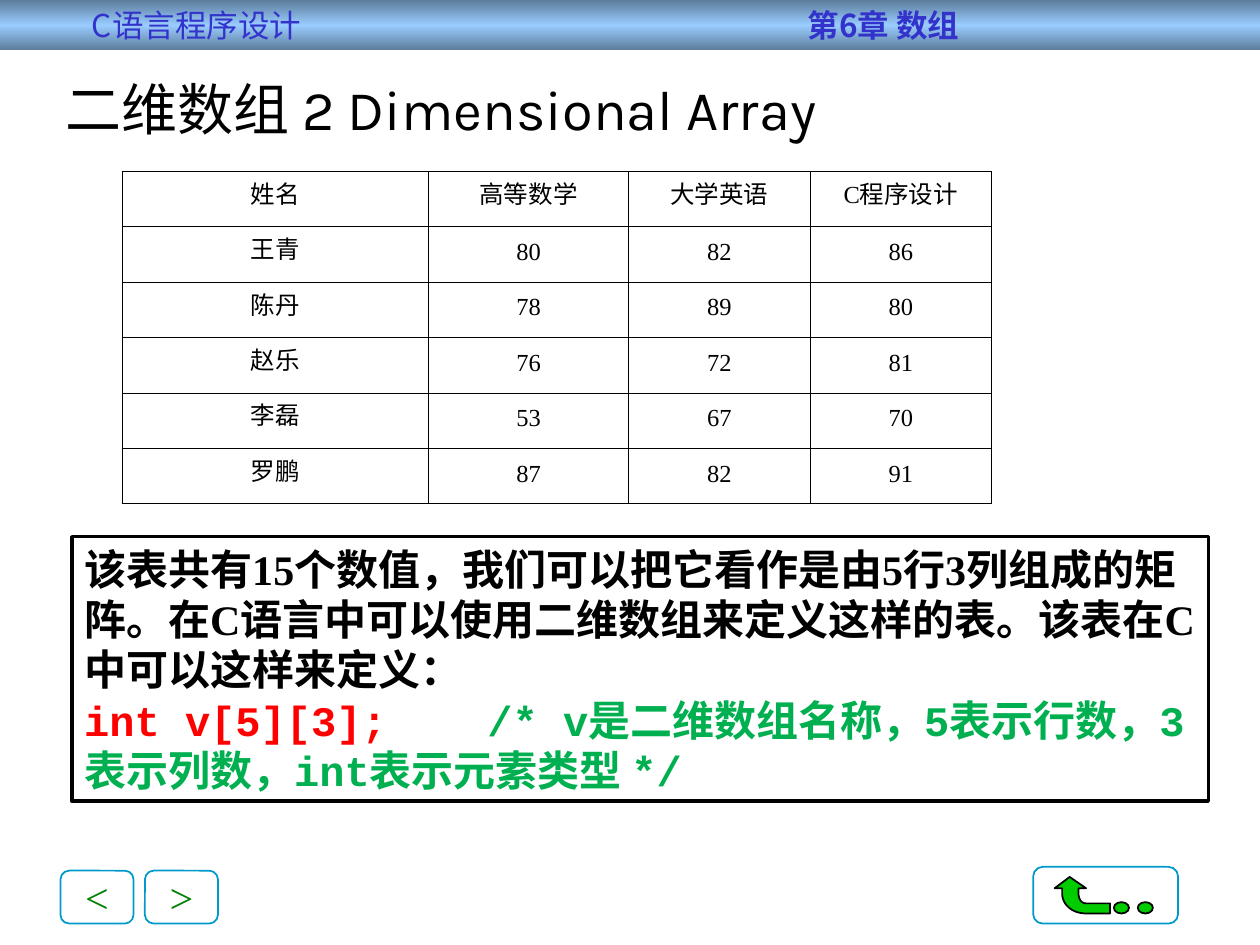
from lxml import etree
from pptx import Presentation
from pptx.dml.color import RGBColor
from pptx.enum.shapes import MSO_SHAPE
from pptx.enum.text import MSO_ANCHOR, PP_ALIGN
from pptx.oxml.ns import qn
from pptx.util import Inches, Pt

RECTANGLE, ROUNDED, OVAL = MSO_SHAPE.RECTANGLE, MSO_SHAPE.ROUNDED_RECTANGLE, MSO_SHAPE.OVAL
MIDDLE, TOP = MSO_ANCHOR.MIDDLE, MSO_ANCHOR.TOP
LEFT, CENTER = PP_ALIGN.LEFT, PP_ALIGN.CENTER

BLACK = RGBColor(0x00, 0x00, 0x00)
WHITE = RGBColor(0xFF, 0xFF, 0xFF)
STEEL = RGBColor(0x5D, 0x7C, 0x9B)
SKY = RGBColor(0x99, 0xCC, 0xFF)
INDIGO = RGBColor(0x33, 0x33, 0xCC)
BUTTON_BLUE = RGBColor(0x00, 0x99, 0xCC)
BUTTON_GREEN = RGBColor(0x00, 0x80, 0x00)
ARROW_GREEN = RGBColor(0x00, 0xCC, 0x00)
CODE_RED = RGBColor(0xFF, 0x00, 0x00)
COMMENT_GREEN = RGBColor(0x00, 0xB0, 0x50)

CJK, SERIF, MONO, TITLE = "Noto Sans CJK SC", "Times New Roman", "Courier New", "Karla"


def write(paragraph, text, font=SERIF, size=14, color=BLACK, bold=False, align=LEFT, tab=None):
    paragraph.alignment = align
    if tab is not None:
        tabs = etree.SubElement(paragraph._p.get_or_add_pPr(), qn("a:tabLst"))
        etree.SubElement(tabs, qn("a:tab"), pos=str(Inches(tab)), algn="l")
    run = paragraph.add_run()
    run.text = text
    run.font.name, run.font.size, run.font.bold = font, Pt(size), bold
    run.font.color.rgb = color
    etree.SubElement(run._r.get_or_add_rPr(), qn("a:ea"), typeface=CJK)


def style(shape, fill=None, line=None, width=1):
    shape.shadow.inherit = False
    if fill is None:
        shape.fill.background()
    else:
        shape.fill.solid()
        shape.fill.fore_color.rgb = fill
    if line is None:
        shape.line.fill.background()
    else:
        shape.line.color.rgb = line
        shape.line.width = Pt(width)


presentation = Presentation()
presentation.slide_width, presentation.slide_height = Inches(10), Inches(7.5)
slide = presentation.slides.add_slide(presentation.slide_layouts[6])
shapes = slide.shapes

# Header band: steel at both edges, sky in the middle
header = shapes.add_shape(RECTANGLE, 0, 0, Inches(10), Inches(0.4))
style(header)
header.fill.gradient()
header.fill.gradient_angle = 270
stops = header.fill._fill._gradFill.find(qn("a:gsLst"))
stops.clear()
for position, color in ((0, STEEL), (50000, SKY), (100000, STEEL)):
    stop = etree.SubElement(stops, qn("a:gs"), pos=str(position))
    etree.SubElement(stop, qn("a:srgbClr"), val=str(color))
frame = header.text_frame
frame.vertical_anchor = MIDDLE
frame.margin_left = Inches(0.73)
frame.margin_top = frame.margin_bottom = 0
write(frame.paragraphs[0], "C语言程序设计\t", font=CJK, size=18, color=INDIGO, tab=5.68)
write(frame.paragraphs[0], "第6章 数组", font=CJK, size=18, color=INDIGO, bold=True)

# Previous and next buttons
for left, label in ((0.48, "<"), (1.15, ">")):
    button = shapes.add_shape(ROUNDED, Inches(left), Inches(6.91), Inches(0.58), Inches(0.42))
    style(button, line=BUTTON_BLUE)
    button.text_frame.word_wrap = False
    button.text_frame.vertical_anchor = MIDDLE
    write(button.text_frame.paragraphs[0], label, size=24, color=BUTTON_GREEN, align=CENTER)

# Return button: a bent arrow and two dots in a frame
arrow_parts = [
    [(8.49, 6.96)], [(8.37, 7.05)], [(8.43, 7.05)], [(8.43, 7.09)],
    [(8.43, 7.18), (8.51, 7.25), (8.62, 7.25)],
    [(8.81, 7.25)], [(8.81, 7.17)], [(8.62, 7.17)],
    [(8.58, 7.17), (8.56, 7.13), (8.56, 7.09)],
    [(8.56, 7.05)], [(8.62, 7.05)],
]
outline = []
for part in arrow_parts:
    if len(part) == 1:
        outline += part
        continue
    curve = [outline[-1]] + part
    for step in range(1, 13):
        t = step / 12
        weights = ((1 - t) ** 3, 3 * t * (1 - t) ** 2, 3 * t * t * (1 - t), t ** 3)
        outline.append(tuple(sum(w * point[axis] for w, point in zip(weights, curve))
                             for axis in (0, 1)))
builder = shapes.build_freeform(Inches(outline[0][0]), Inches(outline[0][1]))
builder.add_line_segments([(Inches(x), Inches(y)) for x, y in outline[1:]], close=True)
style(builder.convert_to_shape(), fill=ARROW_GREEN, line=BLACK)
for left in (8.84, 9.03):
    dot = shapes.add_shape(OVAL, Inches(left), Inches(7.16), Inches(0.12), Inches(0.09))
    style(dot, fill=ARROW_GREEN, line=BLACK)
return_frame = shapes.add_shape(ROUNDED, Inches(8.2), Inches(6.88), Inches(1.15), Inches(0.45))
style(return_frame, line=BUTTON_BLUE)

# Title
title = shapes.add_textbox(Inches(0.42), Inches(0.54), Inches(9.43), Inches(0.76))
title.text_frame.word_wrap = True
title.text_frame.vertical_anchor = TOP
write(title.text_frame.paragraphs[0], "二维数组 2 Dimensional Array", font=TITLE, size=32)

# Score table
scores = [
    ("姓名", "高等数学", "大学英语", "C程序设计"),
    ("王青", "80", "82", "86"),
    ("陈丹", "78", "89", "80"),
    ("赵乐", "76", "72", "81"),
    ("李磊", "53", "67", "70"),
    ("罗鹏", "87", "82", "91"),
]
table = shapes.add_table(len(scores), 4, Inches(0.97), Inches(1.36),
                         Inches(6.9), Inches(2.64)).table
table.first_row = table.horz_banding = False
for column, width in zip(table.columns, (2.43, 1.59, 1.44, 1.44)):
    column.width = Inches(width)
for row_index, row in enumerate(scores):
    table.rows[row_index].height = Inches(0.44)
    for column_index, text in enumerate(row):
        cell = table.cell(row_index, column_index)
        cell.vertical_anchor = MIDDLE
        cell.margin_left = cell.margin_right = Inches(0.08)
        paragraph = cell.text_frame.paragraphs[0]
        paragraph.line_spacing = Pt(13)
        write(paragraph, text, align=CENTER)
        properties = cell._tc.get_or_add_tcPr()
        for side in ("a:lnL", "a:lnR", "a:lnT", "a:lnB"):
            border = etree.SubElement(properties, qn(side), w=str(Pt(0.45)))
            solid = etree.SubElement(border, qn("a:solidFill"))
            etree.SubElement(solid, qn("a:srgbClr"), val=str(BLACK))
        cell.fill.background()

# Explanation with the array definition
note = shapes.add_shape(RECTANGLE, Inches(0.57), Inches(4.26), Inches(9.02), Inches(2.1))
style(note, fill=WHITE, line=BLACK, width=2)
frame = note.text_frame
frame.word_wrap = True
frame.vertical_anchor = MIDDLE
write(frame.paragraphs[0],
      "该表共有15个数值，我们可以把它看作是由5行3列组成的矩阵。"
      "在C语言中可以使用二维数组来定义这样的表。该表在C中可以这样来定义：",
      size=24, bold=True)
definition = frame.add_paragraph()
write(definition, "int v[5][3];\t", font=MONO, size=24, color=CODE_RED, bold=True, tab=3.2)
write(definition, "/* v是二维数组名称，5表示行数，3表示列数，int表示元素类型 */",
      font=MONO, size=24, color=COMMENT_GREEN, bold=True)

presentation.save("out.pptx")
